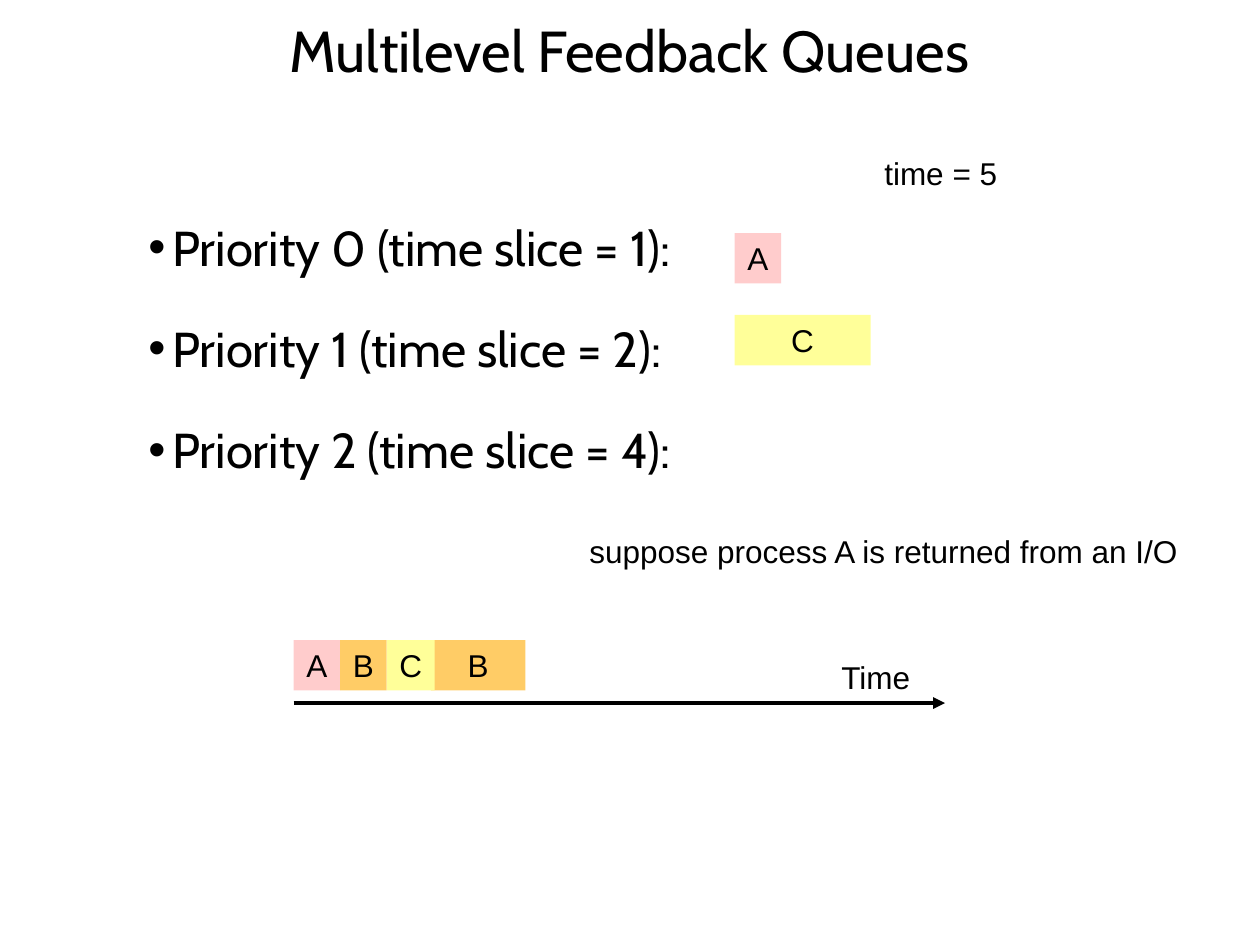
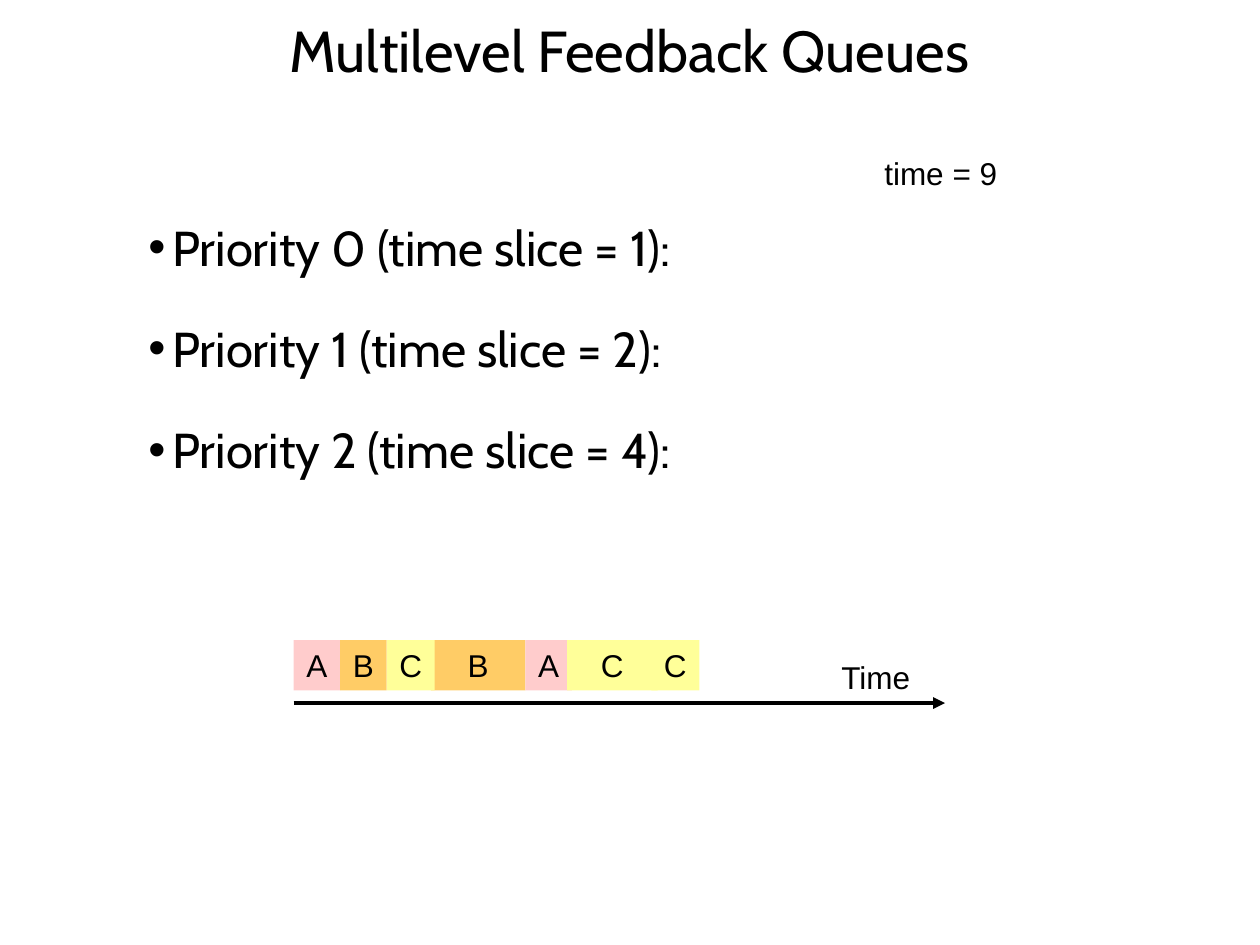
"""Build two slides that trace a multilevel feedback queue scheduler."""
import pptx
import pptx.dml.color
import pptx.enum.shapes
import pptx.enum.text
import pptx.oxml.ns
import pptx.util
from lxml import etree
from pptx.util import Inches

COLORS = {"text": "000000", "A": "FFCCCC", "B": "FFCC66", "C": "FFFF99"}
HEADING_FONT, LABEL_FONT = "Cabin", "Arial"
ROW_HEIGHT, TIMELINE_TOP = 0.4, 5.08
CENTER = pptx.enum.text.PP_ALIGN.CENTER
LEFT = pptx.enum.text.PP_ALIGN.LEFT

FIRST_RUNS = [("B", 3.42, 0.75), ("A", 2.33, 0.37), ("B", 2.7, 0.37), ("C", 3.07, 0.38)]
LATER_RUNS = [("A", 4.17, 0.37), ("C", 4.5, 0.72), ("C", 5.17, 0.38)]
STEPS = [
    {
        "time": 5,
        "timeline": FIRST_RUNS,
        "queued": [("C", 5.83, 2.5, 1.08), ("A", 5.83, 1.85, 0.37)],
        "notes": [("suppose process A is returned from an I/O", 4.58, 4.17, 4.9)],
    },
    {"time": 9, "timeline": FIRST_RUNS + LATER_RUNS, "queued": [], "notes": []},
]


def style_text(box, size, font_name, alignment):
    for para in box.text_frame.paragraphs:
        para.alignment = alignment
        for span in para.runs:
            span.font.size = pptx.util.Pt(size)
            span.font.name = font_name
            span.font.color.rgb = pptx.dml.color.RGBColor.from_string(COLORS["text"])


def add_child(parent, tag, **attributes):
    return etree.SubElement(parent, pptx.oxml.ns.qn(tag), attributes)


deck = pptx.Presentation()
deck.slide_width, deck.slide_height = Inches(10), Inches(7.5)

for step in STEPS:
    page = deck.slides.add_slide(deck.slide_layouts[6])

    title = page.shapes.add_textbox(Inches(0.33), Inches(0), Inches(9.33), Inches(0.85))
    title.text_frame.word_wrap = True
    title.text_frame.vertical_anchor = pptx.enum.text.MSO_ANCHOR.MIDDLE
    title.text_frame.text = "Multilevel Feedback Queues"
    title.text_frame.paragraphs[0].line_spacing = 0.9
    style_text(title, 33, HEADING_FONT, CENTER)

    labels = [(f"time = {step['time']}", 6.92, 1.17, 1.1), ("Time", 6.58, 5.17, 0.76)]
    for text, left, top, width in labels + step["notes"]:
        label = page.shapes.add_textbox(
            Inches(left), Inches(top), Inches(width), Inches(ROW_HEIGHT))
        label.text_frame.word_wrap = False
        label.text_frame.text = text
        style_text(label, 18, LABEL_FONT, LEFT)

    timeline = [(name, left, TIMELINE_TOP, width) for name, left, width in step["timeline"]]
    for name, left, top, width in timeline + step["queued"]:
        block = page.shapes.add_shape(
            pptx.enum.shapes.MSO_SHAPE.RECTANGLE,
            Inches(left), Inches(top), Inches(width), Inches(ROW_HEIGHT))
        block.shadow.inherit = False
        block.fill.solid()
        block.fill.fore_color.rgb = pptx.dml.color.RGBColor.from_string(COLORS[name])
        block.line.fill.background()
        block.text_frame.word_wrap = False
        block.text_frame.vertical_anchor = pptx.enum.text.MSO_ANCHOR.TOP
        block.text_frame.text = name
        style_text(block, 18, LABEL_FONT, CENTER)

    arrow = page.shapes.add_connector(
        pptx.enum.shapes.MSO_CONNECTOR.STRAIGHT,
        Inches(2.33), Inches(5.58), Inches(7.5), Inches(5.58))
    arrow.line.width = pptx.util.Pt(2.25)
    arrow.line.color.rgb = pptx.dml.color.RGBColor.from_string(COLORS["text"])
    add_child(arrow.line._get_or_add_ln(), "a:tailEnd", type="triangle")
    add_child(arrow._element.spPr, "a:effectLst")

    priorities = page.shapes.add_textbox(Inches(1.08), Inches(1.44), Inches(5.5), Inches(2.25))
    priorities.text_frame.word_wrap = True
    priorities.text_frame.text = "\n".join(
        f"Priority {level} (time slice = {2 ** level}):" for level in range(3))
    for level, para in enumerate(priorities.text_frame.paragraphs):
        para.line_spacing = 1.5
        para.space_before = pptx.util.Pt(7.5 if level else 0)
        properties = para._p.get_or_add_pPr()
        properties.set("marL", str(Inches(0.19)))
        properties.set("indent", str(-Inches(0.19)))
        add_child(properties, "a:buFont", typeface=LABEL_FONT)
        add_child(properties, "a:buChar", char="•")
    style_text(priorities, 28, HEADING_FONT, LEFT)

deck.save("out.pptx")
